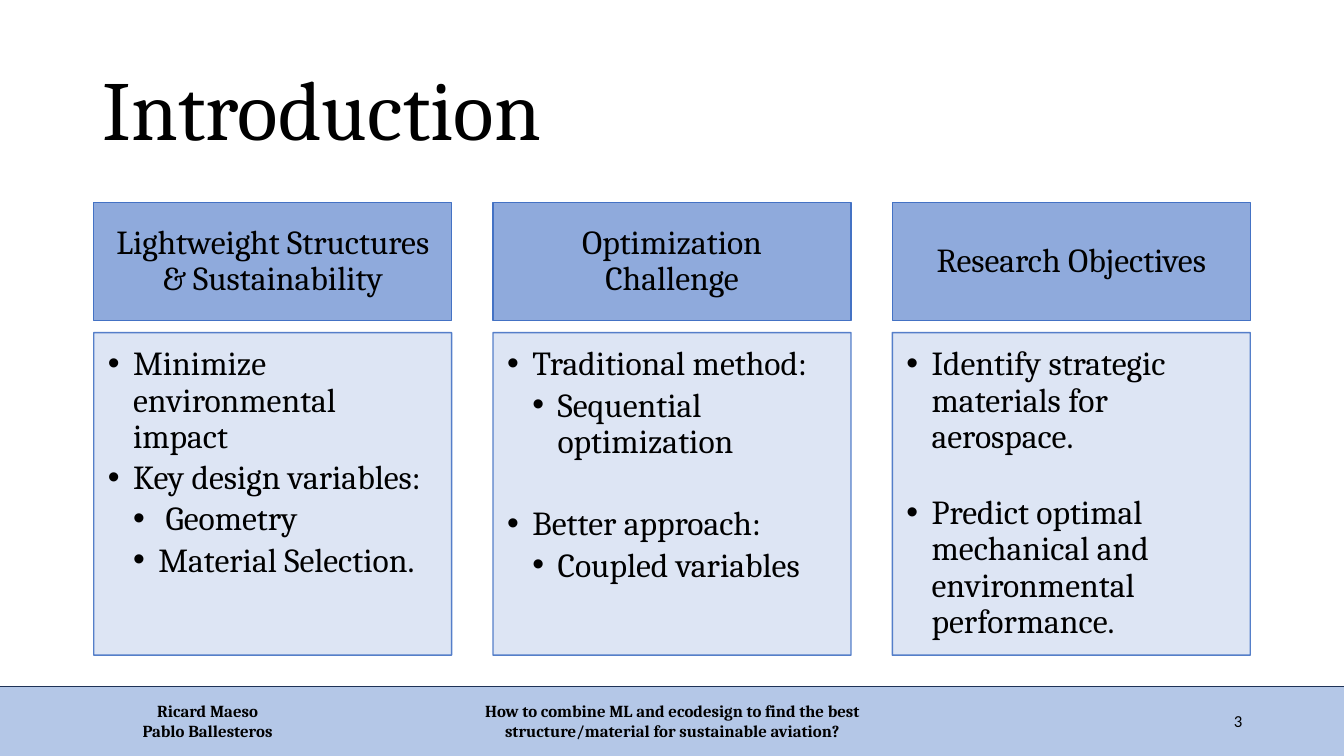
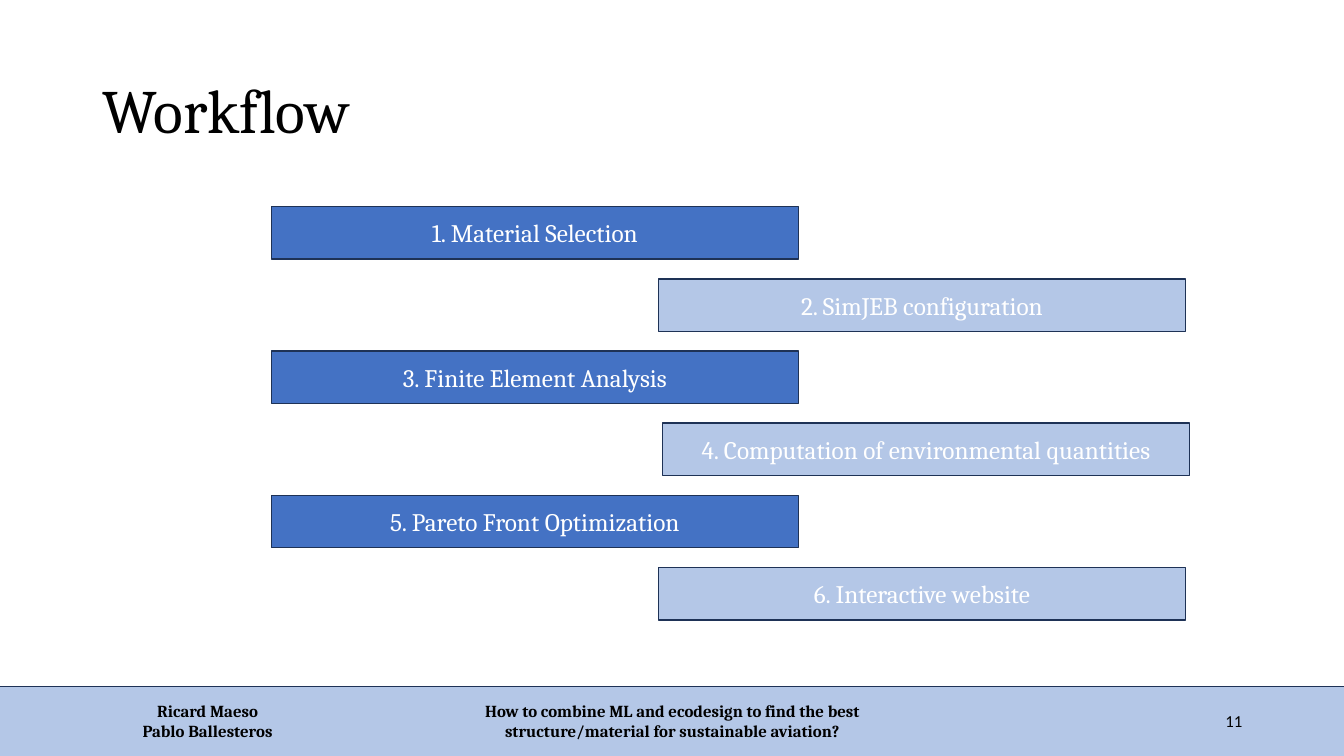
from lxml import etree
from pptx import Presentation
from pptx.dml.color import RGBColor
from pptx.enum.shapes import MSO_SHAPE
from pptx.enum.text import MSO_ANCHOR as Anchor, MSO_AUTO_SIZE as AutoSize, PP_ALIGN as Align
from pptx.oxml.ns import qn
from pptx.util import Inches, Pt

BLACK, WHITE, NAVY = "000000", "FFFFFF", "1E3256"
BLUE, MID_BLUE, PALE_BLUE, ICE_BLUE = "4472C4", "8FAADC", "B4C7E7", "DAE3F3"
SERIF, SANS = "Cambria", "Calibri"

AUTHORS = ["Ricard Maeso", "Pablo Ballesteros"]
TOPIC = "How to combine ML and ecodesign to find the best structure/material for sustainable aviation?"

# Each list item: level, text, extra space before in points
COLUMNS = [
    ("Lightweight Structures & Sustainability", [
        (1, "Minimize environmental impact", 0),
        (1, "Key design variables:", 0),
        (2, " Geometry", 0),
        (2, "Material Selection.", 0),
    ]),
    ("Optimization Challenge", [
        (1, "Traditional method:", 0),
        (2, "Sequential optimization", 0),
        (1, "Better approach:", 29.5),
        (2, "Coupled variables", 0),
    ]),
    ("Research Objectives", [
        (1, "Identify strategic materials for aerospace.", 0),
        (1, "Predict optimal mechanical and environmental performance.", 25),
    ]),
]
COLUMN_LEFT, COLUMN_PITCH, COLUMN_WIDTH = 0.93, 3.96, 3.55
BULLET_INDENT = 0.25

# Each step: left edge, text
STEPS = [
    (2.69, "1. Material Selection"),
    (6.53, "2. SimJEB configuration"),
    (2.69, "3. Finite Element Analysis"),
    (6.57, "4. Computation of environmental quantities"),
    (2.69, "5. Pareto Front Optimization"),
    (6.53, "6. Interactive website"),
]
FIRST_STEP_TOP, LAST_STEP_TOP = 2.05, 5.63


def rgb(color):
    return RGBColor.from_string(color)


def set_opacity(fill_parent, percent):
    """Make the solid fill below the given XML element partly transparent."""
    color = fill_parent.find(qn("a:solidFill"))[0]
    etree.SubElement(color, qn("a:alpha")).set("val", str(percent * 1000))


def add_box(slide, at, fill, line, opacity=100):
    shape = slide.shapes.add_shape(MSO_SHAPE.RECTANGLE, *map(Inches, at))
    shape.shadow.inherit = False
    shape.fill.solid()
    shape.fill.fore_color.rgb = rgb(fill)
    shape.line.color.rgb = rgb(line)
    shape.line.width = Pt(1)
    if opacity < 100:
        properties = shape.element.spPr
        set_opacity(properties, opacity)
        set_opacity(properties.find(qn("a:ln")), opacity)
    return shape


def add_text_box(slide, at):
    return slide.shapes.add_textbox(*map(Inches, at))


def write(shape, lines, size, color=BLACK, font=SERIF, bold=False,
          align=Align.CENTER, anchor=Anchor.MIDDLE, insets=(0.1, 0.05, 0.1, 0.05)):
    """Fill the shape with one paragraph per line and return the paragraphs."""
    frame = shape.text_frame
    frame.word_wrap = True
    frame.auto_size = AutoSize.NONE
    frame.vertical_anchor = anchor
    (frame.margin_left, frame.margin_top,
     frame.margin_right, frame.margin_bottom) = map(Inches, insets)
    for index, line in enumerate(lines):
        paragraph = frame.add_paragraph() if index else frame.paragraphs[0]
        paragraph.alignment = align
        run = paragraph.add_run()
        run.text = line
        run.font.name, run.font.size, run.font.bold = font, Pt(size), bold
        run.font.color.rgb = rgb(color)
    return frame.paragraphs


def add_bullet(paragraph, level):
    properties = paragraph._p.get_or_add_pPr()
    properties.set("marL", str(Inches(BULLET_INDENT * level)))
    properties.set("indent", str(-Inches(BULLET_INDENT)))
    etree.SubElement(properties, qn("a:buFont")).set("typeface", "Arial")
    etree.SubElement(properties, qn("a:buChar")).set("char", "•")


def add_footer_to_layout(slide):
    """Build the footer band and move it to the layout that all slides share."""
    band = add_box(slide, (-0.3, 6.81, 13.93, 0.74), PALE_BLUE, NAVY)
    authors = add_text_box(slide, (0.56, 6.97, 3, 0.37))
    write(authors, AUTHORS, 12, bold=True)
    topic = add_text_box(slide, (4.42, 6.95, 4.5, 0.4))
    write(topic, [TOPIC], 12, bold=True)
    for shape_id, shape in enumerate((band, authors, topic), start=101):
        shape.element.nvSpPr.cNvPr.set("id", str(shape_id))
        slide.slide_layout.shapes.element.append(shape.element)


def add_title_and_number(slide, title, size, number, number_font):
    shape = slide.shapes.title
    shape.left, shape.top, shape.width, shape.height = map(Inches, (0.92, 0.4, 9.45, 1.45))
    write(shape, [title], size, align=Align.LEFT)[0].line_spacing = 0.9
    write(add_text_box(slide, (9.42, 6.95, 3, 0.4)), [number], 12,
          font=number_font, align=Align.RIGHT)


def fill_introduction(slide):
    for index, (heading, items) in enumerate(COLUMNS):
        left = COLUMN_LEFT + index * COLUMN_PITCH
        header = add_box(slide, (left, 2.01, COLUMN_WIDTH, 1.17), MID_BLUE, BLUE)
        write(header, [heading], 24, insets=(0.19, 0.11, 0.19, 0.11))[0].line_spacing = 0.9

        body = add_box(slide, (left, 3.3, COLUMN_WIDTH, 3.2), ICE_BLUE, BLUE, opacity=90)
        paragraphs = write(body, [text for _, text, _ in items], 24, align=Align.LEFT,
                           anchor=Anchor.TOP, insets=(0.14, 0.14, 0.19, 0.21))
        for paragraph, (level, _, space_before) in zip(paragraphs, items):
            paragraph.line_spacing = 0.9
            paragraph.space_before = Pt(space_before)
            paragraph.space_after = Pt(3.6)
            add_bullet(paragraph, level)


def fill_workflow(slide):
    pitch = (LAST_STEP_TOP - FIRST_STEP_TOP) / (len(STEPS) - 1)
    for index, (left, text) in enumerate(STEPS):
        fill = PALE_BLUE if index % 2 else BLUE
        step = add_box(slide, (left, FIRST_STEP_TOP + index * pitch, 5.23, 0.52), fill, NAVY)
        write(step, [text], 18, color=WHITE)


def main():
    presentation = Presentation()
    presentation.slide_width, presentation.slide_height = Inches(13.33), Inches(7.5)
    title_only = presentation.slide_layouts[5]
    introduction, workflow = [presentation.slides.add_slide(title_only) for _ in range(2)]

    add_footer_to_layout(introduction)
    add_title_and_number(introduction, "Introduction", 60, "3", SANS)
    fill_introduction(introduction)
    add_title_and_number(workflow, "Workflow", 44, "11", SANS)
    fill_workflow(workflow)
    presentation.save("out.pptx")


if __name__ == "__main__":
    main()
